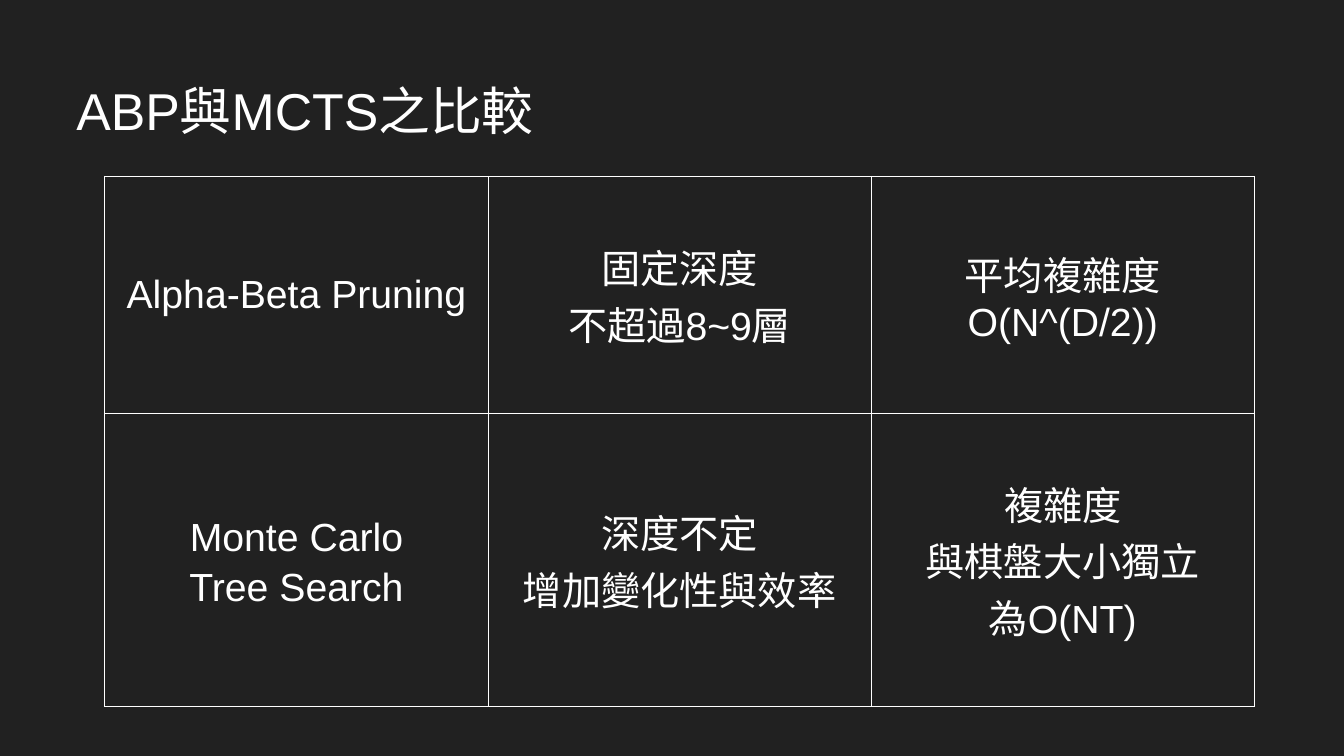
from dataclasses import dataclass

from pptx import Presentation
from pptx.dml.color import RGBColor
from pptx.enum.text import MSO_ANCHOR, PP_ALIGN
from pptx.oxml import parse_xml
from pptx.oxml.ns import nsdecls
from pptx.util import Inches, Pt


@dataclass(frozen=True)
class Theme:
    background: str = "212121"
    foreground: str = "FFFFFF"
    font: str = "Arial"
    title_size: int = 37
    cell_size: int = 28
    border_width: float = 0.75


theme = Theme()


def add_text(paragraph, text, size):
    run = paragraph.add_run()
    run.text = text
    run.font.name = theme.font
    run.font.size = Pt(size)
    run.font.color.rgb = RGBColor.from_string(theme.foreground)


def add_borders(cell):
    """Outline all four sides; the line elements must come before the fill."""
    properties = cell._tc.get_or_add_tcPr()
    for position, side in enumerate(("lnL", "lnR", "lnT", "lnB")):
        properties.insert(position, parse_xml(
            f'<a:{side} {nsdecls("a")} w="{int(Pt(theme.border_width))}">'
            f'<a:solidFill><a:srgbClr val="{theme.foreground}"/></a:solidFill>'
            f'<a:prstDash val="solid"/></a:{side}>'))


presentation = Presentation()
presentation.slide_width = Inches(13.33)
presentation.slide_height = Inches(7.5)
slide = presentation.slides.add_slide(presentation.slide_layouts[6])
slide.background.fill.solid()
slide.background.fill.fore_color.rgb = RGBColor.from_string(theme.background)

# Title
title = slide.shapes.add_textbox(Inches(0.66), Inches(0.4), Inches(11.5), Inches(1.45))
title.text_frame.word_wrap = True
title.text_frame.vertical_anchor = MSO_ANCHOR.MIDDLE
title_paragraph = title.text_frame.paragraphs[0]
title_paragraph.line_spacing = 0.9
add_text(title_paragraph, "ABP與MCTS之比較", theme.title_size)

# Comparison table: each row has its line spacing for the name, then its cells
column_width = 3.8
row_heights = [2.35, 2.91]
comparison = [
    (None, [["Alpha-Beta Pruning"],
            ["固定深度", "不超過8~9層"],
            ["平均複雜度", "O(N^(D/2))"]]),
    (1.15, [["Monte Carlo", "Tree Search"],
            ["深度不定", "增加變化性與效率"],
            ["複雜度", "與棋盤大小獨立", "為O(NT)"]]),
]
table = slide.shapes.add_table(
    len(row_heights), 3, Inches(1.04), Inches(1.75),
    Inches(3 * column_width), Inches(sum(row_heights))).table
table.first_row = False
table.horz_banding = False
for column in table.columns:
    column.width = Inches(column_width)
for row, height in zip(table.rows, row_heights):
    row.height = Inches(height)

for row_index, (name_spacing, contents) in enumerate(comparison):
    for column_index, lines in enumerate(contents):
        cell = table.cell(row_index, column_index)
        cell.vertical_anchor = MSO_ANCHOR.MIDDLE
        cell.margin_left = cell.margin_right = Inches(0.1)
        cell.margin_top = cell.margin_bottom = Inches(0.1)
        cell.fill.solid()
        cell.fill.fore_color.rgb = RGBColor.from_string(theme.background)
        add_borders(cell)
        for line_index, line in enumerate(lines):
            frame = cell.text_frame
            paragraph = frame.add_paragraph() if line_index else frame.paragraphs[0]
            paragraph.alignment = PP_ALIGN.CENTER
            if column_index == 0 and name_spacing:
                paragraph.line_spacing = name_spacing
            add_text(paragraph, line, theme.cell_size)

presentation.save("out.pptx")
